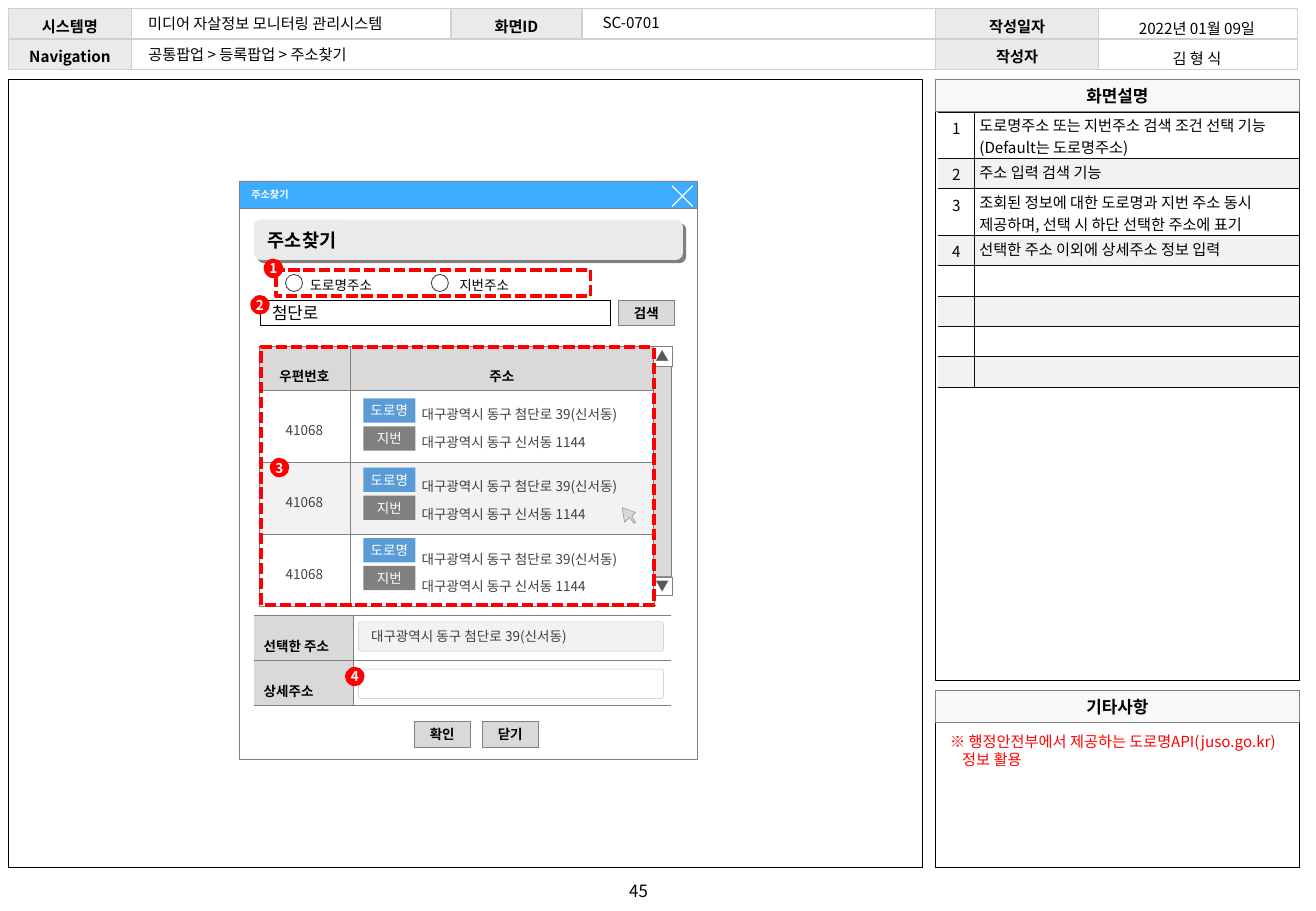
from lxml import etree
from pptx import Presentation
from pptx.dml.color import RGBColor
from pptx.enum.dml import MSO_LINE
from pptx.enum.shapes import MSO_CONNECTOR, MSO_SHAPE
from pptx.enum.text import MSO_ANCHOR, PP_ALIGN
from pptx.oxml.ns import qn
from pptx.util import Inches, Pt

GRID = 0.1
SANS = "Noto Sans CJK KR"
CENTER, LEFT = PP_ALIGN.CENTER, PP_ALIGN.LEFT
TOP, MIDDLE = MSO_ANCHOR.TOP, MSO_ANCHOR.MIDDLE
RECTANGLE, ROUNDED, OVAL = MSO_SHAPE.RECTANGLE, MSO_SHAPE.ROUNDED_RECTANGLE, MSO_SHAPE.OVAL
DASH = MSO_LINE.SQUARE_DOT
STRAIGHT = MSO_CONNECTOR.STRAIGHT
SIDES = ("left", "top", "right", "bottom")
BLACK, WHITE, RED = "000000", "FFFFFF", "FF0000"
GRAY, BUTTON, PALE, DARK = "808080", "D9D9D9", "F2F2F2", "404040"
ROAD_ADDRESS = "대구광역시 동구 첨단로 39(신서동)"
LOT_ADDRESS = "대구광역시 동구 신서동 1144"


def units(*values):
    return [Inches(value * GRID) for value in values]


def color(value):
    return RGBColor.from_string(value)


def apply_format(target, values):
    for name, value in values.items():
        setattr(target, name, value)


def set_margins(target, margins):
    apply_format(target, {f"margin_{side}": Inches(margin) for side, margin in zip(SIDES, margins)})


def write(frame, text, size=9, bold=False, ink=BLACK, name=SANS, hanging=0, **paragraph_format):
    for index, line in enumerate(text.split("\n")):
        paragraph = frame.add_paragraph() if index else frame.paragraphs[0]
        apply_format(paragraph, paragraph_format)
        if hanging:
            properties = paragraph._p.get_or_add_pPr()
            properties.set("marL", str(Inches(hanging)))
            properties.set("indent", str(-Inches(hanging)))
        if not line:
            paragraph._p.get_or_add_endParaRPr().set("sz", str(size * 100))
            continue
        run = paragraph.add_run()
        run.text = line
        apply_format(run.font, {"size": Pt(size), "bold": bold, "name": name})
        run.font.color.rgb = color(ink)
        etree.SubElement(run._r.get_or_add_rPr(), qn("a:ea")).set("typeface", name)


def add_label(slide, place, text, margins=(0.1, 0.05, 0.1, 0.05), anchor=TOP, wrap=False, **style):
    frame = slide.shapes.add_textbox(*units(*place)).text_frame
    apply_format(frame, {"word_wrap": wrap, "vertical_anchor": anchor})
    set_margins(frame, margins)
    write(frame, text, **style)


def paint(shape, fill, line, width):
    shape.shadow.inherit = False
    if fill:
        shape.fill.solid()
        shape.fill.fore_color.rgb = color(fill)
    else:
        shape.fill.background()
    if line:
        shape.line.color.rgb = color(line)
        shape.line.width = Pt(width)
    else:
        shape.line.fill.background()


def add_box(slide, place, fill=None, line=None, width=0.5, kind=RECTANGLE, text="",
            margins=(0, 0, 0, 0), alignment=CENTER, **style):
    shape = slide.shapes.add_shape(kind, *units(*place))
    paint(shape, fill, line, width)
    if text:
        apply_format(shape.text_frame, {"word_wrap": False, "vertical_anchor": MIDDLE})
        set_margins(shape.text_frame, margins)
        write(shape.text_frame, text, alignment=alignment, **style)
    return shape


def add_button(slide, left, top, text):
    add_box(slide, (left, top, 4.6, 2.1), BUTTON, GRAY, text=text, size=8, bold=True)


def add_badge(slide, left, top, number):
    add_box(slide, (left, top, 1.6, 1.6), RED, kind=OVAL, text=number, size=8, bold=True, ink=WHITE)


def add_dashed_frame(slide, place):
    add_box(slide, place, line=RED, width=2.25).line.dash_style = DASH


def add_line(slide, *ends):
    connector = slide.shapes.add_connector(STRAIGHT, *units(*ends))
    connector.line.color.rgb = color(WHITE)
    connector.line.width = Pt(0.75)
    etree.SubElement(connector._element.spPr, qn("a:effectLst"))


def border_cell(cell, line, width, hidden):
    properties = cell._tc.get_or_add_tcPr()
    for index, side in enumerate("LRTB"):
        edge = etree.Element(qn(f"a:ln{side}"), w=str(Pt(width)))
        if line and side not in hidden:
            fill = etree.SubElement(edge, qn("a:solidFill"))
            etree.SubElement(fill, qn("a:srgbClr"), val=line)
        else:
            etree.SubElement(edge, qn("a:noFill"))
        properties.insert(index, edge)


def add_grid(slide, left, top, columns, rows, contents, line=None, width=0.25, open_sides=False):
    place = units(left, top, sum(columns), sum(rows))
    table = slide.shapes.add_table(len(rows), len(columns), *place).table
    apply_format(table, {"first_row": False, "horz_banding": False})
    for column, size in zip(table.columns, units(*columns)):
        column.width = size
    for row, size in zip(table.rows, units(*rows)):
        row.height = size
    for row, line_contents in enumerate(contents):
        for column, (text, fill, margins, style) in enumerate(line_contents):
            cell = table.cell(row, column)
            set_margins(cell, margins)
            cell.vertical_anchor = TOP
            write(cell.text_frame, text, **style)
            if fill:
                cell.fill.solid()
                cell.fill.fore_color.rgb = color(fill)
            else:
                cell.fill.background()
            hidden = "L" * (column == 0) + "R" * (column == len(columns) - 1)
            border_cell(cell, line, width, hidden if open_sides else "")
    return table


def add_header(slide):
    margins = (0.1, 0.05, 0.1, 0)
    labels = (("시스템명", "", "화면ID", "", "작성일자", ""), ("Navigation", "", "", "", "작성자", ""))
    heading = {"bold": True, "alignment": CENTER}
    contents = [[(text, "EAEAEA" if text else None, margins, heading) for text in row] for row in labels]
    table = add_grid(slide, 0.7, 0.7, (10.1, 26.3, 10.8, 29.1, 13.4, 16.4), (2.5, 2.5),
                     contents, "D0D0D0", 1)
    table.cell(1, 1).merge(table.cell(1, 3))
    values = ("2022년 01월 09일", "김 형 식")
    add_grid(slide, 90.3, 0.9, (16.4,), (2.5, 2.5),
             [[(value, None, margins, {"alignment": CENTER})] for value in values])
    add_label(slide, (11.2, 0.7, 23.5, 2.5), "미디어 자살정보 모니터링 관리시스템")
    add_label(slide, (48.6, 0.6, 6.8, 2.5), "SC-0701")
    title = slide.shapes.title
    apply_format(title, dict(zip(("left", "top", "width", "height"), units(11.2, 3.2, 20.7, 2.5))))
    apply_format(title.text_frame, {"word_wrap": False, "vertical_anchor": TOP})
    set_margins(title.text_frame, (0.1, 0.05, 0.1, 0.05))
    write(title.text_frame, "공통팝업 > 등록팝업 > 주소찾기", alignment=LEFT)


def add_panels(slide):
    add_box(slide, (0.7, 6.5, 75.2, 64.9), line=BLACK, width=0.25)
    for top, height, heading in ((6.5, 49.5, "화면설명"), (56.8, 14.6, "기타사항")):
        add_box(slide, (77, top, 29.9, height), line=BLACK, width=0.25)
        add_box(slide, (77, top, 29.9, 2.7), "F8F8F8", GRAY, 0.25, text=heading, size=10, bold=True)
    notes = ("도로명주소 또는 지번주소 검색 조건 선택 기능(Default는 도로명주소)", "주소 입력 검색 기능",
             "조회된 정보에 대한 도로명과 지번 주소 동시 제공하며, 선택 시 하단 선택한 주소에 표기",
             "선택한 주소 이외에 상세주소 정보 입력", "", "", "", "")
    contents = []
    for index, note in enumerate(notes):
        fill = PALE if index % 2 else None
        number = str(index + 1) if note else ""
        contents.append([(number, fill, (0, 0.04, 0, 0), {"alignment": CENTER}),
                         (note, fill, (0.04, 0.02, 0.04, 0), {})])
    add_grid(slide, 77.2, 9.2, (3, 26.7), (3.8, 2.5) * 2 + (2.5,) * 4, contents,
             "0D0D0D", open_sides=True)
    add_label(slide, (77.2, 59.8, 29.5, 4), "※ 행정안전부에서 제공하는 도로명API(juso.go.kr) 정보 활용",
              wrap=True, ink=RED, hanging=0.1)
    add_label(slide, (49, 72, 7.1, 2.7), "45", wrap=True, anchor=MIDDLE, size=10, alignment=CENTER)


def add_search(slide):
    add_box(slide, (19.7, 14.9, 37.7, 47.6), WHITE, GRAY)
    add_box(slide, (19.7, 14.9, 37.7, 2.3), "3FADFF", GRAY)
    add_line(slide, 55.3, 15.3, 57, 17)
    add_line(slide, 55.3, 17, 57, 15.3)
    add_label(slide, (19.7, 15, 19.3, 2), "주소찾기", size=6, bold=True, ink=WHITE)
    banner = add_box(slide, (20.9, 18.1, 35.3, 3.3), "EAEAEA", kind=ROUNDED, text="주소찾기",
                     margins=(0.1, 0, 0.1, 0), alignment=LEFT, size=11, bold=True)
    effects = banner._element.spPr.find(qn("a:effectLst"))
    shadow = etree.SubElement(effects, qn("a:outerShdw"), dist=str(Pt(2.8)), dir="2700000", algn="tl")
    etree.SubElement(shadow, qn("a:srgbClr"), val=GRAY)
    add_box(slide, (21.4, 24.7, 28.8, 2.1), WHITE, BLACK, text="첨단로",
            margins=(0.1, 0, 0.1, 0), alignment=LEFT, size=10)
    add_button(slide, 50.9, 24.7, "검색")
    for left, label_left, text in ((23.5, 25.5, "도로명주소"), (35.5, 37.8, "지번주소")):
        add_box(slide, (left, 22.6, 1.4, 1.4), WHITE, DARK, kind=OVAL)
        add_label(slide, (label_left, 22.5, 5.6, 1.7), text, (0, 0, 0, 0), MIDDLE, size=8, line_spacing=1.25)


def add_results(slide):
    heading = {"size": 8, "bold": True, "alignment": CENTER, "line_spacing": 1.5}
    code = {"size": 8, "ink": DARK, "alignment": CENTER, "line_spacing": 1.2}
    address = {"size": 8, "ink": DARK, "line_spacing": 1.4}
    contents = [[(text, BUTTON, (0.08, 0.08, 0.08, 0), heading) for text in ("우편번호", "주소")]]
    for fill in (None, PALE, None):
        contents.append([("41068", fill, (0.1, 0.21, 0.1, 0), code),
                         (f"{ROAD_ADDRESS}\n{LOT_ADDRESS}", fill, (0.59, 0.05, 0.1, 0), address)])
    add_grid(slide, 21.3, 28.5, (7.5, 25), (3.6, 5.95, 5.95, 5.95), contents, GRAY)
    for top in (32.8, 38.5, 44.3):
        for offset, fill, text in ((0, "5B9BD5", "도로명"), (2.3, GRAY, "지번")):
            add_box(slide, (29.9, top + offset, 4.3, 2), fill, text=text, size=8, ink=WHITE, name="Calibri")
    add_box(slide, (53.8, 30.2, 1.5, 17.3), BUTTON, GRAY)
    for place, arrow in (((53.7, 28.6, 1.7, 1.5), "◀"), ((53.8, 47.5, 1.5, 1.5), "▶")):
        add_box(slide, place, WHITE, GRAY, text=arrow, size=8, bold=True, ink="595959").rotation = 90


def add_selection(slide):
    heading = {"size": 8, "bold": True, "line_spacing": 1.5}
    margins = (0.08, 0.08, 0.08, 0)
    contents = [[(text, BUTTON, margins, heading), ("", None, margins, {})] for text in ("선택한 주소", "상세주소")]
    add_grid(slide, 20.9, 50.7, (8.2, 26.1), (3.7, 3.7), contents, GRAY, 0.5, True)
    for top, fill, text in ((51.2, PALE, ROAD_ADDRESS), (55.1, None, "")):
        field = add_box(slide, (29.5, top, 25.1, 2.4), fill, "BFBFBF", 0.25, ROUNDED, text,
                        (0.1, 0, 0.24, 0), LEFT, size=8, ink=DARK)
        field.adjustments[0] = 0.08
    add_button(slide, 34.1, 59.4, "확인")
    add_button(slide, 39.7, 59.4, "닫기")


def add_pointer(slide):
    corners = ((51.2, 41.8), (52.3, 42.2), (52, 42.5), (52.3, 43), (52.2, 43.1), (51.8, 42.6), (51.4, 43))
    points = [units(*corner) for corner in corners]
    builder = slide.shapes.build_freeform(*points[0])
    builder.add_line_segments(points[1:], close=True)
    paint(builder.convert_to_shape(), BUTTON, GRAY, 0.25)


def main():
    presentation = Presentation()
    presentation.slide_width, presentation.slide_height = units(108.3, 75)
    slide = presentation.slides.add_slide(presentation.slide_layouts[5])
    for add_part in (add_panels, add_header, add_search, add_results, add_selection, add_pointer):
        add_part(slide)
    for place in ((22.7, 22.2, 25.9, 2.2), (21.5, 28.6, 32.3, 21.2)):
        add_dashed_frame(slide, place)
    for number, (left, top) in enumerate(((21.7, 21.3), (20.6, 24.3), (22.2, 37.7), (28.4, 54.9)), 1):
        add_badge(slide, left, top, str(number))
    presentation.save("out.pptx")


if __name__ == "__main__":
    main()
